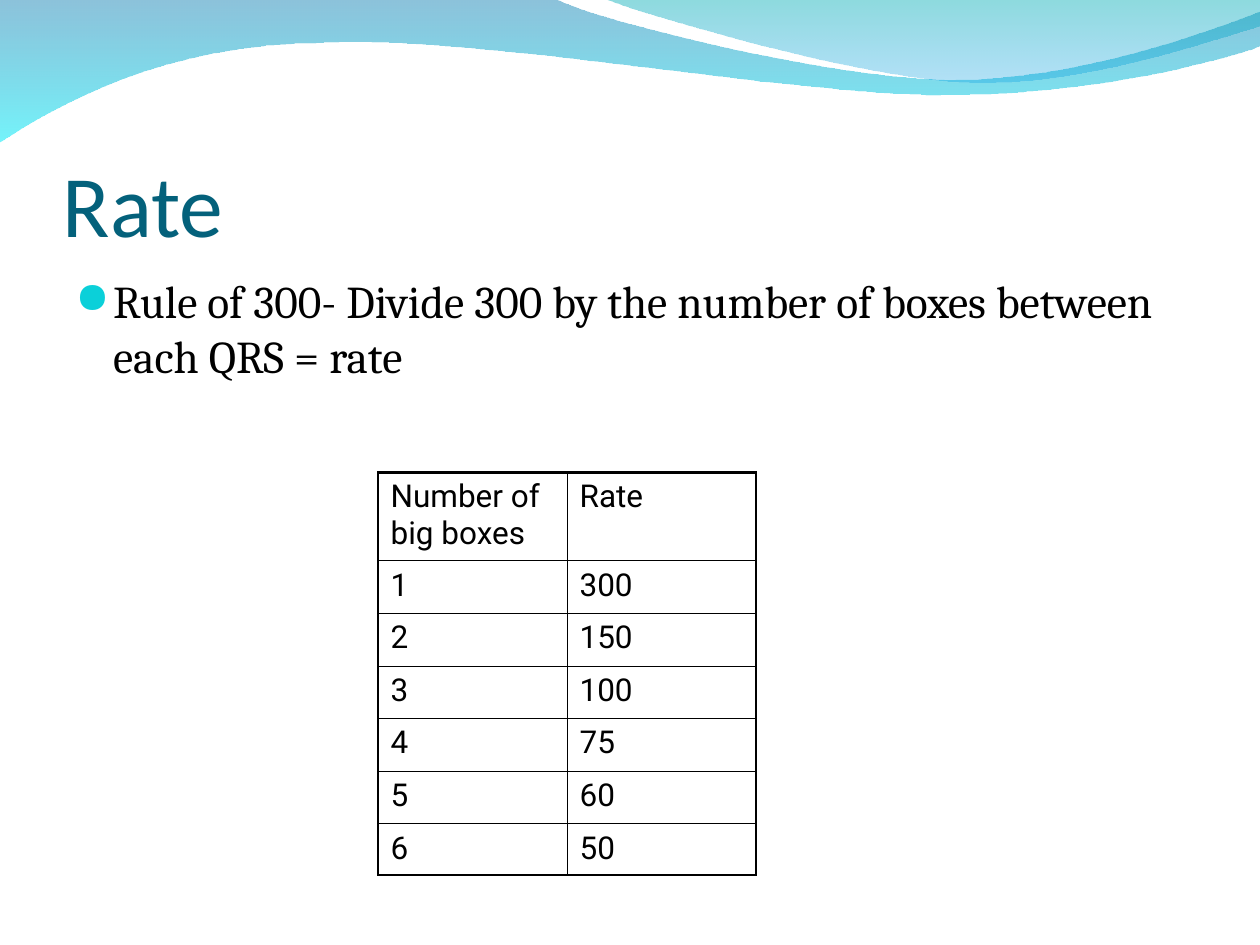
from lxml.etree import SubElement
from pptx import Presentation
from pptx.dml.color import RGBColor
from pptx.enum.text import MSO_ANCHOR
from pptx.oxml.ns import qn
from pptx.util import Inches, Pt

COLORS = {
    "title": "04617B", "text": "000000", "bullet": "0BD0D9", "border": "000000",
    "deep": "0079AF", "cyan": "00EBF8", "teal": "00ADB6", "sky": "009BE5",
}


def add_text(frame, text, font, size, color, margins=(0.1, 0.05, 0.1, 0.05),
             anchor=MSO_ANCHOR.TOP, bullet=None):
    frame.word_wrap = True
    frame.vertical_anchor = anchor
    (frame.margin_left, frame.margin_top,
     frame.margin_right, frame.margin_bottom) = map(Inches, margins)
    para = frame.paragraphs[0]
    if bullet:
        properties = para._p.get_or_add_pPr()
        properties.set("marL", str(Inches(0.3)))
        properties.set("indent", str(-Inches(0.3)))
        bullet_color = SubElement(properties, qn("a:buClr"))
        SubElement(bullet_color, qn("a:srgbClr"), val=COLORS["bullet"])
        SubElement(properties, qn("a:buSzPct"), val="95000")
        SubElement(properties, qn("a:buFont"), typeface="OpenSymbol")
        SubElement(properties, qn("a:buChar"), char=bullet)
    span = para.add_run()
    span.text = text
    span.font.name = font
    span.font.size = Pt(size)
    span.font.color.rgb = RGBColor.from_string(COLORS[color])


def bend_segments(shape, segments):
    outline = shape._element.find(".//" + qn("a:path"))
    lines = iter(outline.findall(qn("a:lnTo")))
    for segment in segments:
        steps = [next(lines) for _ in segment]
        if len(segment) == 3:
            steps[0].tag = qn("a:cubicBezTo")
            for step in steps[1:]:
                steps[0].append(step[0])
                outline.remove(step)


deck = Presentation()
deck.slide_width, deck.slide_height = Inches(10), Inches(7.5)
page = deck.slides.add_slide(deck.slide_layouts[6])
column = deck.slide_width // 20
row = deck.slide_height // 30

waves = [
    ([[(0, -0.04)], [(8.8, -0.04)],
      [(9.52, 0.68), (13.28, 2.52), (15.16, 2.52)],
      [(17.06, 2.52), (19.16, 1.04), (20, 0.36)],
      [(20.02, 1.44)],
      [(19.66, 1.76), (17.4, 3.04), (14.92, 3)],
      [(12.44, 3), (7.64, 1.12), (5.14, 1.36)],
      [(2.58, 1.4), (0.92, 3.32), (-0.02, 4.52)]],
     [("deep", 45), ("cyan", 55)]),
    ([[(9.58, -0.04)],
      [(10.18, 0.44), (13.64, 2.48), (15.38, 2.6)],
      [(17.12, 2.76), (19.22, 1.28), (20, 0.84)],
      [(20, 0)]],
     [("teal", 45), ("sky", 30)]),
]
for segments, stops in waves:
    corners = [(round(x * column), round(y * row))
               for segment in segments for x, y in segment]
    builder = page.shapes.build_freeform(*corners[0], scale=1.0)
    builder.add_line_segments(corners[1:], close=True)
    wave = builder.convert_to_shape()
    bend_segments(wave, segments[1:])
    wave.shadow.inherit = False
    wave.line.fill.background()
    wave.fill.gradient()
    wave.fill.gradient_angle = 270
    for stop, position, (color, opacity) in zip(wave.fill.gradient_stops, (0, 1), stops):
        stop.position = position
        stop.color.rgb = RGBColor.from_string(COLORS[color])
        SubElement(stop._gs[0], qn("a:alpha"), val=str(opacity * 1000))

title = page.shapes.add_textbox(column, round(3.08 * row), 18 * column, 5 * row)
add_text(title.text_frame, "Rate", font="Calibri", size=50, color="title",
         margins=(0, 0.05, 0, 0), anchor=MSO_ANCHOR.BOTTOM)

body = page.shapes.add_textbox(column, round(8.48 * row), 18 * column, round(19.2 * row))
add_text(body.text_frame,
         "Rule of 300- Divide 300 by the number of boxes between each QRS = rate",
         font="Cambria", size=26, color="text", bullet="●")

rates = [("Number of big boxes", "Rate"), ("1", "300"), ("2", "150"),
         ("3", "100"), ("4", "75"), ("5", "60"), ("6", "50")]
last = len(rates) - 1
heights = [2.8] + [1.67] * (last - 1) + [1.64]
table = page.shapes.add_table(len(rates), 2, 6 * column, 15 * row,
                              6 * column, round(sum(heights) * row)).table
table.first_row = table.horz_banding = False
for table_column in table.columns:
    table_column.width = 3 * column
for index, (values, height) in enumerate(zip(rates, heights)):
    table.rows[index].height = round(height * row)
    for side, value in enumerate(values):
        cell = table.cell(index, side)
        add_text(cell.text_frame, value, font="Roboto", size=18, color="text")
        borders = {
            "a:lnL": 0.45 if side else 1.08,
            "a:lnR": 1.08 if side else 0.45,
            "a:lnT": 0.45 if index else 1.47,
            "a:lnB": 1.08 if index == last else 0.45,
        }
        for tag, points in borders.items():
            line = SubElement(cell._tc.get_or_add_tcPr(), qn(tag), w=str(Pt(points)))
            line_fill = SubElement(line, qn("a:solidFill"))
            SubElement(line_fill, qn("a:srgbClr"), val=COLORS["border"])
        cell.fill.background()

deck.save("out.pptx")
